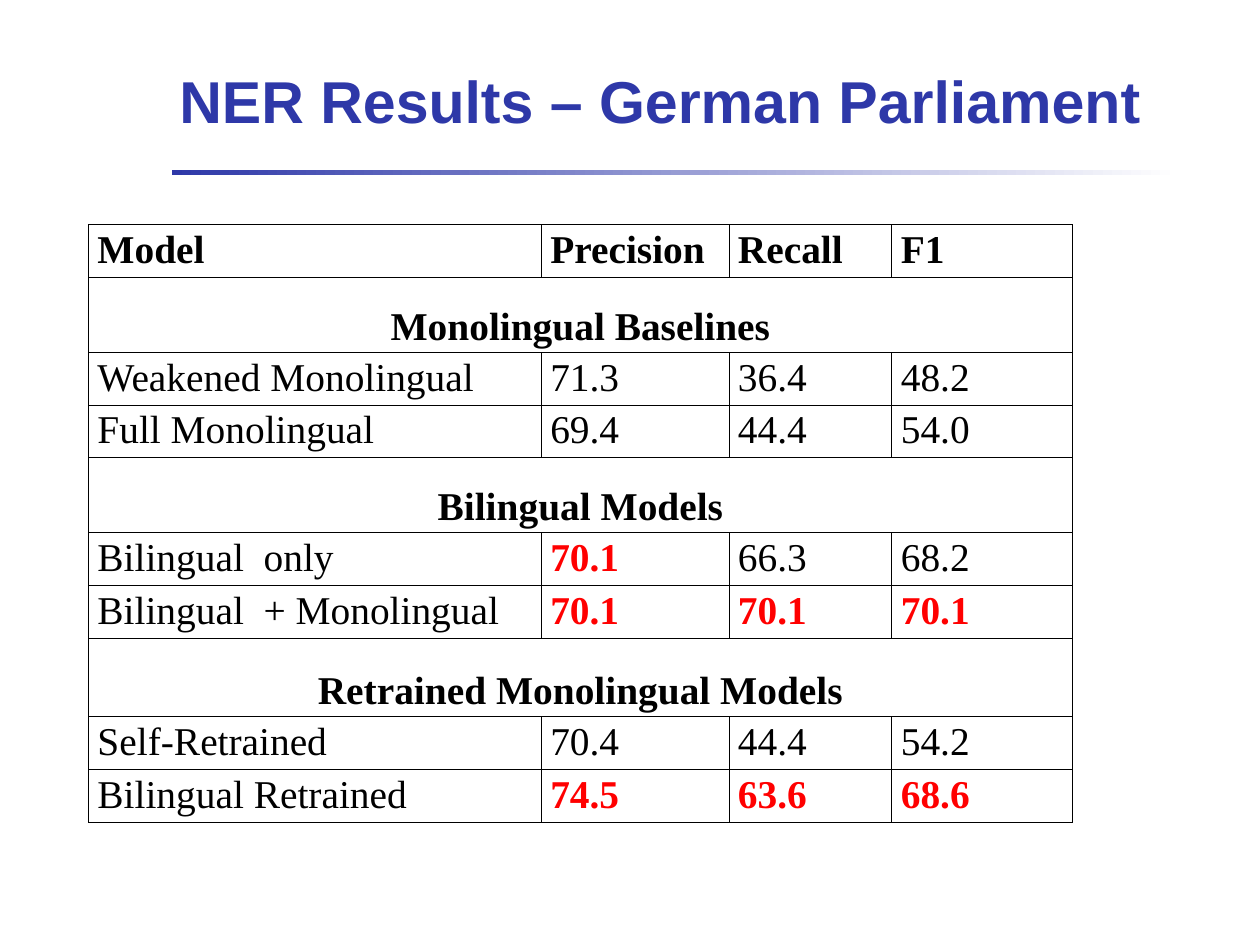
from lxml import etree
from pptx import Presentation
from pptx.dml.color import RGBColor
from pptx.enum.shapes import MSO_SHAPE
from pptx.enum.text import MSO_ANCHOR, PP_ALIGN
from pptx.oxml.ns import qn
from pptx.util import Cm, Pt

RECT = MSO_SHAPE.RECTANGLE
LEFT, CENTER = PP_ALIGN.LEFT, PP_ALIGN.CENTER
MIDDLE, BOTTOM, TOP = MSO_ANCHOR.MIDDLE, MSO_ANCHOR.BOTTOM, MSO_ANCHOR.TOP

BLUE = RGBColor(0x2E, 0x38, 0xA8)
WHITE = RGBColor(0xFF, 0xFF, 0xFF)
BLACK = RGBColor(0, 0, 0)
RED = RGBColor(0xFF, 0, 0)

# A one-item row is a section heading; a star marks a best score.
ROWS = [
    ["Model", "Precision", "Recall", "F1"],
    ["Monolingual Baselines"],
    ["Weakened Monolingual", "71.3", "36.4", "48.2"],
    ["Full Monolingual", "69.4", "44.4", "54.0"],
    ["Bilingual Models"],
    ["Bilingual  only", "*70.1", "66.3", "68.2"],
    ["Bilingual  + Monolingual", "*70.1", "*70.1", "*70.1"],
    ["Retrained Monolingual Models"],
    ["Self-Retrained", "70.4", "44.4", "54.2"],
    ["Bilingual Retrained", "*74.5", "*63.6", "*68.6"],
]
WIDTHS = [12.98, 5.38, 4.67, 5.18]
ROW = 1.51
HEADS = {1: 2.15, 4: 2.15, 7: 2.26}


class Deck:
    def __init__(self, slide):
        self.slide = slide
        self.head = "Arial"
        self.body = "Times New Roman"

    def text(self, frame, words, face, size, color, bold, align):
        para = frame.paragraphs[0]
        para.alignment = align
        run = para.add_run()
        run.text = words
        font = run.font
        font.name, font.size, font.bold = face, Pt(size), bold
        font.color.rgb = color

    def title(self, words, x, y, w, h):
        box = self.slide.shapes.title
        box.left, box.top, box.width, box.height = Cm(x), Cm(y), Cm(w), Cm(h)
        frame = box.text_frame
        frame.word_wrap = True
        frame.vertical_anchor = MIDDLE
        frame.margin_left = frame.margin_right = Cm(0.36)
        frame.margin_top = frame.margin_bottom = Cm(0.18)
        self.text(frame, words, self.head, 48, BLUE, True, LEFT)

    def rule(self, x, y, w, h):
        """Draw a bar that fades from blue to white."""
        bar = self.slide.shapes.add_shape(RECT, Cm(x), Cm(y), Cm(w), Cm(h))
        bar.shadow.inherit = False
        bar.line.fill.background()
        bar.fill.gradient()
        bar.fill.gradient_angle = 0
        for stop, color, pos in zip(bar.fill.gradient_stops, (BLUE, WHITE), (0, 1)):
            stop.color.rgb = color
            stop.position = pos

    def edge(self, cell):
        """Put a thin black border on all four sides."""
        props = cell._tc.get_or_add_tcPr()
        for i, side in enumerate(("a:lnL", "a:lnR", "a:lnT", "a:lnB")):
            line = etree.Element(qn(side), w=str(Pt(1)))
            fill = etree.SubElement(line, qn("a:solidFill"))
            etree.SubElement(fill, qn("a:srgbClr"), val=str(BLACK))
            props.insert(i, line)

    def table(self, rows, widths, heights, x, y):
        grid = self.slide.shapes.add_table(
            len(rows), len(widths), Cm(x), Cm(y), Cm(sum(widths)), Cm(sum(heights))
        ).table
        grid.first_row = grid.horz_banding = False
        for col, w in zip(grid.columns, widths):
            col.width = Cm(w)
        for r, (texts, h) in enumerate(zip(rows, heights)):
            grid.rows[r].height = Cm(h)
            cells = list(grid.rows[r].cells)
            for cell in cells:
                cell.fill.solid()
                cell.fill.fore_color.rgb = WHITE
                cell.margin_top = cell.margin_bottom = Cm(0.1)
                self.edge(cell)
            span = len(texts) == 1
            if span:
                cells[0].merge(cells[-1])
            for cell, words in zip(cells, texts):
                best = words.startswith("*")
                cell.vertical_anchor = BOTTOM if span else TOP
                self.text(cell.text_frame, words.lstrip("*"), self.body, 32,
                          RED if best else BLACK, best or span or r == 0,
                          CENTER if span else LEFT)


def main():
    show = Presentation()
    show.slide_width, show.slide_height = Cm(36.12), Cm(27.1)
    deck = Deck(show.slides.add_slide(show.slide_layouts[5]))
    deck.rule(4.93, 4.88, 28.88, 0.13)
    deck.title("NER Results – German Parliament", 4.78, 0.61, 30.23, 4.52)
    heights = [HEADS.get(r, ROW) for r in range(len(ROWS))]
    deck.table(ROWS, WIDTHS, heights, 2.54, 6.45)
    show.save("out.pptx")


if __name__ == "__main__":
    main()
